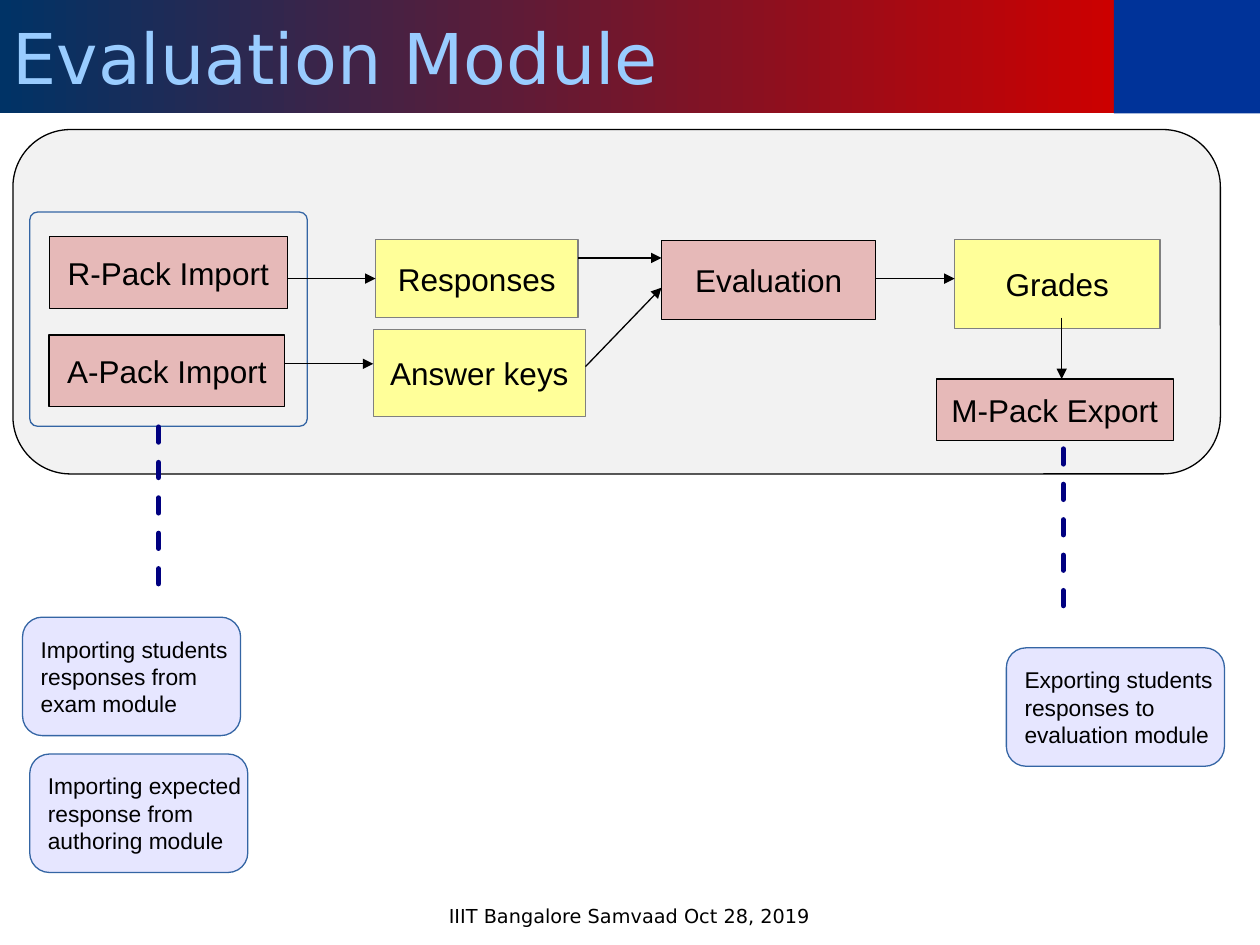
from typing import NamedTuple, Optional

from pptx import Presentation
from pptx.dml.color import RGBColor
from pptx.enum.dml import MSO_LINE
from pptx.enum.shapes import MSO_CONNECTOR, MSO_SHAPE
from pptx.enum.text import MSO_ANCHOR, MSO_AUTO_SIZE, PP_ALIGN
from pptx.oxml.ns import qn
from pptx.util import Pt
from lxml.etree import SubElement

BLACK = RGBColor(0x00, 0x00, 0x00)
GREY = RGBColor(0x80, 0x80, 0x80)
PALE_GREY = RGBColor(0xF2, 0xF2, 0xF2)
PINK = RGBColor(0xE6, 0xB9, 0xB8)
YELLOW = RGBColor(0xFF, 0xFF, 0x99)
LAVENDER = RGBColor(0xE6, 0xE6, 0xFF)
STEEL_BLUE = RGBColor(0x34, 0x65, 0xA4)
NAVY = RGBColor(0x00, 0x00, 0x80)
HEADER_BLUE = RGBColor(0x00, 0x33, 0x99)
DARK_BLUE = RGBColor(0x00, 0x33, 0x66)
RED = RGBColor(0xCC, 0x00, 0x00)
SKY_BLUE = RGBColor(0x99, 0xCC, 0xFF)

HEADER_HEIGHT = 64.8
TITLE_WIDTH = 636.5
CALLOUT_WIDTH, CALLOUT_HEIGHT = 124.6, 67.7


class Box(NamedTuple):
    left: float
    top: float
    width: float
    height: float


class Step(NamedTuple):
    text: str
    box: Box
    is_data: bool = False


class Callout(NamedTuple):
    left: float
    top: float
    lines: tuple[str, ...]


class Link(NamedTuple):
    x1: float
    y1: float
    x2: float
    y2: float


STEPS = [
    Step("R-Pack Import", Box(28.1, 135.3, 136.1, 41)),
    Step("A-Pack Import", Box(28.1, 191.4, 134.6, 41)),
    Step("Responses", Box(214.6, 136.8, 115.7, 44.6), True),
    Step("Answer keys", Box(213.3, 188.2, 121.2, 49.7), True),
    Step("Evaluation", Box(378, 137.4, 122.4, 45.2)),
    Step("Grades", Box(545.5, 136.8, 117.4, 51.1), True),
    Step("M-Pack Export", Box(535, 216.6, 135.4, 35.2)),
]

CALLOUTS = [
    Callout(12.9, 352.7, ("Importing students", "responses from", "exam module")),
    Callout(17, 430.9, ("Importing expected", "response from", "authoring module")),
    Callout(575.1, 370.2, ("Exporting students", "responses to", "evaluation module")),
]

ARROWS = [
    Link(164.2, 159.2, 214.6, 159.2),
    Link(162.7, 207.9, 213.3, 207.9),
    Link(330.3, 147.4, 378, 147.4),
    Link(334.6, 209.5, 378, 164.4),
    Link(500.4, 159.2, 545.5, 159.2),
    Link(606.7, 181.5, 606.7, 216.6),
]

DASHED_LINES = [
    Link(90.6, 244, 90.6, 341.3),
    Link(607.6, 256.5, 607.6, 354.2),
]


def add_box(slide, kind: MSO_SHAPE, box: Box, fill: Optional[RGBColor],
            line: Optional[RGBColor], corner: Optional[float] = None):
    shape = slide.shapes.add_shape(kind, *map(Pt, box))
    shape.shadow.inherit = False
    if fill is None:
        shape.fill.background()
    else:
        shape.fill.solid()
        shape.fill.fore_color.rgb = fill
    if line is None:
        shape.line.fill.background()
    else:
        shape.line.color.rgb = line
        shape.line.width = Pt(0.75)
    if corner is not None:
        shape.adjustments[0] = corner
    return shape


def write(shape, lines: tuple[str, ...], size: float, alignment: PP_ALIGN,
          font_name: str = "Arial", color: RGBColor = BLACK, wrap: bool = True) -> None:
    frame = shape.text_frame
    frame.word_wrap = wrap
    frame.text = "\n".join(lines)
    for paragraph in frame.paragraphs:
        paragraph.alignment = alignment
        paragraph.font.size = Pt(size)
        paragraph.font.name = font_name
        paragraph.font.color.rgb = color


def add_title(slide, text: str) -> None:
    title = slide.shapes.title
    title.left, title.top = Pt(0), Pt(0)
    title.width, title.height = Pt(TITLE_WIDTH), Pt(HEADER_HEIGHT)
    title.fill.gradient()
    title.fill.gradient_angle = 0
    for stop, color in zip(title.fill.gradient_stops, (DARK_BLUE, RED)):
        stop.color.rgb = color
    write(title, (text,), 40, PP_ALIGN.LEFT, "DejaVu Sans", SKY_BLUE)
    title.text_frame.auto_size = MSO_AUTO_SIZE.NONE
    title.text_frame.vertical_anchor = MSO_ANCHOR.MIDDLE


def add_step(slide, step: Step) -> None:
    fill, line = (YELLOW, GREY) if step.is_data else (PINK, BLACK)
    shape = add_box(slide, MSO_SHAPE.RECTANGLE, step.box, fill, line)
    write(shape, (step.text,), 18, PP_ALIGN.CENTER)


def add_callout(slide, callout: Callout) -> None:
    box = Box(callout.left, callout.top, CALLOUT_WIDTH, CALLOUT_HEIGHT)
    shape = add_box(slide, MSO_SHAPE.FLOWCHART_ALTERNATE_PROCESS, box, LAVENDER, STEEL_BLUE)
    write(shape, callout.lines, 13, PP_ALIGN.LEFT, wrap=False)


def add_line(slide, link: Link, color: RGBColor, width: float):
    connector = slide.shapes.add_connector(MSO_CONNECTOR.STRAIGHT, *map(Pt, link))
    connector.line.color.rgb = color
    connector.line.width = Pt(width)
    SubElement(connector._element.spPr, qn("a:effectLst"))
    return connector


def add_arrow(slide, link: Link) -> None:
    connector = add_line(slide, link, BLACK, 0.75)
    SubElement(connector.line._get_or_add_ln(), qn("a:tailEnd"), type="triangle")


def add_dashed_line(slide, link: Link) -> None:
    connector = add_line(slide, link, NAVY, 2.89)
    connector.line.dash_style = MSO_LINE.DASH
    connector.line._get_or_add_ln().set("cap", "rnd")


def add_footer(slide, text: str) -> None:
    footer = slide.shapes.add_textbox(Pt(203.8), Pt(513.4), Pt(311.8), Pt(15.8))
    write(footer, (text,), 11, PP_ALIGN.CENTER, "DejaVu Sans")


def main() -> None:
    presentation = Presentation()
    presentation.slide_width, presentation.slide_height = Pt(720), Pt(540)
    slide = presentation.slides.add_slide(presentation.slide_layouts[5])

    add_title(slide, "Evaluation Module")
    header_end = Box(TITLE_WIDTH, 0, 720 - TITLE_WIDTH, HEADER_HEIGHT)
    add_box(slide, MSO_SHAPE.RECTANGLE, header_end, HEADER_BLUE, None)

    module_panel = Box(7.4, 74, 690, 196.8)
    add_box(slide, MSO_SHAPE.ROUNDED_RECTANGLE, module_panel, PALE_GREY, BLACK, 0.167)
    import_group = Box(17, 121.2, 158.6, 122.4)
    add_box(slide, MSO_SHAPE.ROUNDED_RECTANGLE, import_group, None, STEEL_BLUE, 0.036)

    for step in STEPS:
        add_step(slide, step)
    for callout in CALLOUTS:
        add_callout(slide, callout)
    for arrow in ARROWS:
        add_arrow(slide, arrow)
    for dashed_line in DASHED_LINES:
        add_dashed_line(slide, dashed_line)

    add_footer(slide, "IIIT Bangalore Samvaad Oct 28, 2019")
    presentation.save("out.pptx")


if __name__ == "__main__":
    main()
